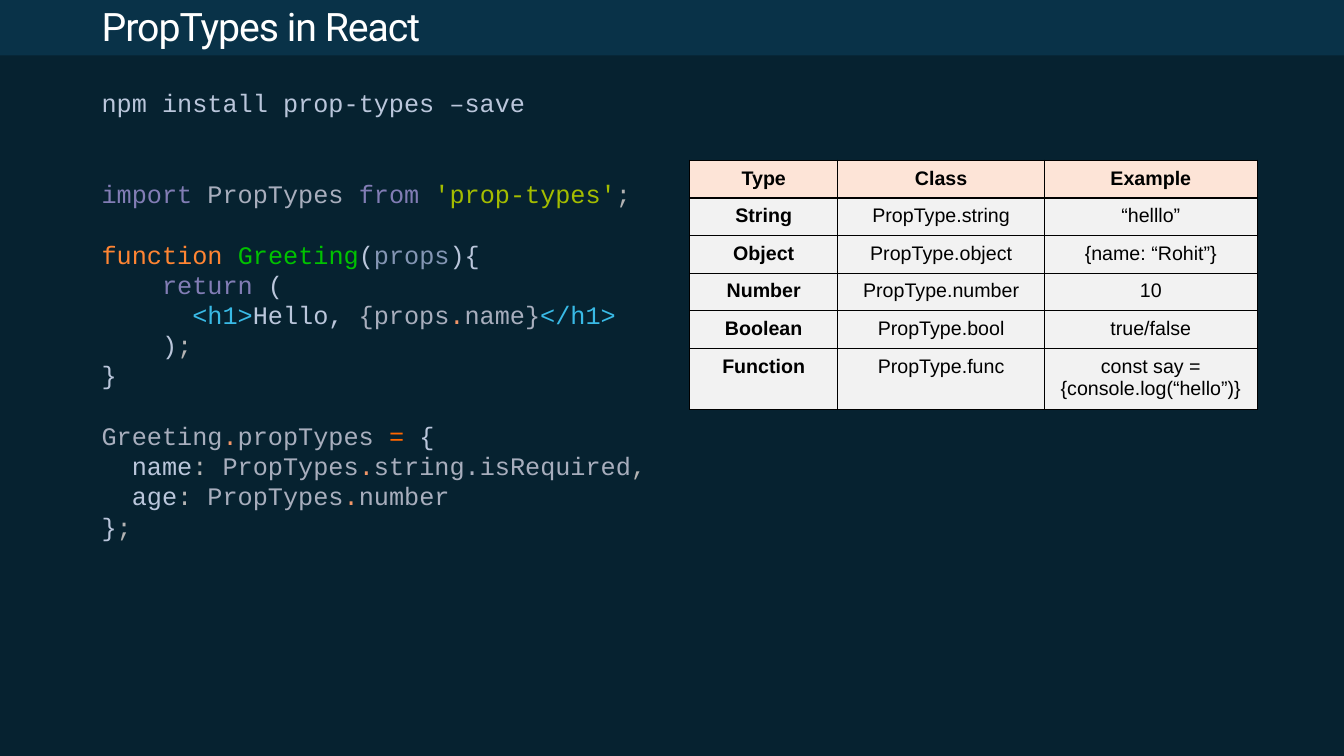
from lxml import etree
from pptx import Presentation
from pptx.dml.color import RGBColor
from pptx.enum import shapes, text
from pptx.oxml import ns
from pptx.util import Inches, Pt

NIGHT = RGBColor(0x06, 0x22, 0x30)
BAR = RGBColor(0x09, 0x32, 0x48)
WHITE = RGBColor(0xFF, 0xFF, 0xFF)
BLACK = RGBColor(0x00, 0x00, 0x00)
PEACH = RGBColor(0xFD, 0xE4, 0xD7)
PALE = RGBColor(0xF2, 0xF2, 0xF2)
PLAIN = RGBColor(0xBA, 0xC6, 0xDB)
MARK = RGBColor(0xB3, 0xB3, 0xB3)
NAME = RGBColor(0xA8, 0xAE, 0xBD)
KEYWORD = RGBColor(0x82, 0x7D, 0xB5)
STRING = RGBColor(0xA4, 0xBD, 0x00)
FUNCTION = RGBColor(0xFF, 0x85, 0x33)
GREEN = RGBColor(0x00, 0xC2, 0x00)
PARAM = RGBColor(0x84, 0x96, 0xB4)
TAG = RGBColor(0x39, 0xBA, 0xE6)
DOT = RGBColor(0xF2, 0x96, 0x68)
EQUALS = RGBColor(0xFF, 0x66, 0x00)

# Content
TITLE = "PropTypes in React"

# Code lines: empty lines above, indent in characters, coloured pieces
CODE = [
    (0, 0, [("npm install prop-types –save", PLAIN)]),
    (2, 0, [("import ", KEYWORD), ("PropTypes ", NAME), ("from ", KEYWORD),
            ("'prop-types'", STRING), (";", MARK)]),
    (1, 0, [("function ", FUNCTION), ("Greeting", GREEN), ("(", PLAIN),
            ("props", PARAM), ("){", PLAIN)]),
    (0, 4, [("return", KEYWORD), (" (", PLAIN)]),
    (0, 6, [("<h1>", TAG), ("Hello, ", PLAIN), ("{props", NAME), (".", DOT),
            ("name}", NAME), ("</h1>", TAG)]),
    (0, 4, [(")", PLAIN), (";", MARK)]),
    (0, 0, [("}", PLAIN)]),
    (1, 0, [("Greeting", NAME), (".", DOT), ("propTypes ", NAME),
            ("=", EQUALS), (" {", PLAIN)]),
    (0, 2, [("name", PLAIN), (": ", MARK), ("PropTypes", NAME), (".", DOT),
            ("string.isRequired", NAME), (",", MARK)]),
    (0, 2, [("age", PLAIN), (": ", MARK), ("PropTypes", NAME), (".", DOT),
            ("number", NAME)]),
    (0, 0, [("}", PLAIN), (";", MARK)]),
]

TYPES = [
    ("Type", "Class", "Example"),
    ("String", "PropType.string", "“helllo”"),
    ("Object", "PropType.object", "{name: “Rohit”}"),
    ("Number", "PropType.number", "10"),
    ("Boolean", "PropType.bool", "true/false"),
    ("Function", "PropType.func", "const say = {console.log(“hello”)}"),
]
COLUMN_WIDTHS = [1.47, 2.05, 2.11]
ROW_HEIGHTS = [0.37] * 5 + [0.61]
LINE_PITCH = 21.6
CHAR_WIDTH = 0.15


def add_text(para, words, *, font, size, color, bold=False, spacing=None):
    span = para.add_run()
    span.text = words
    span.font.name = font
    span.font.size = Pt(size)
    span.font.bold = bold
    span.font.color.rgb = color
    if spacing is not None:
        span.font._element.set("spc", str(round(spacing * 100)))


def add_box(page, left, top, width, height):
    box = page.shapes.add_textbox(
        Inches(left), Inches(top), Inches(width), Inches(height))
    box.text_frame.word_wrap = True
    return box.text_frame


def add_borders(cell):
    props = cell._tc.get_or_add_tcPr()
    for place, side in enumerate(("lnL", "lnR", "lnT", "lnB")):
        line = etree.Element(ns.qn("a:" + side), w=str(Pt(1)))
        fill = etree.SubElement(line, ns.qn("a:solidFill"))
        etree.SubElement(fill, ns.qn("a:srgbClr"), val=str(BLACK))
        props.insert(place, line)


deck = Presentation()
deck.slide_width, deck.slide_height = Inches(13.33), Inches(7.5)
page = deck.slides.add_slide(deck.slide_layouts[6])
page.background.fill.solid()
page.background.fill.fore_color.rgb = NIGHT

# Title bar
bar = page.shapes.add_shape(
    shapes.MSO_SHAPE.RECTANGLE, 0, 0, deck.slide_width, Inches(0.55))
bar.shadow.inherit = False
bar.fill.solid()
bar.fill.fore_color.rgb = BAR
bar.line.fill.background()

heading = add_box(page, 0.91, 0.03, 6.91, 0.53).paragraphs[0]
heading.line_spacing = 0.9
add_text(heading, TITLE, font="Roboto", size=28, color=WHITE, spacing=-0.7)

# Code listing
listing = add_box(page, 0.91, 0.82, 5.93, 5.25)
for number, (gap, indent, pieces) in enumerate(CODE):
    para = listing.add_paragraph() if number else listing.paragraphs[0]
    para.line_spacing = Pt(LINE_PITCH)
    para.space_before = Pt(gap * LINE_PITCH)
    if indent:
        props = para._p.get_or_add_pPr()
        props.set("marL", str(Inches(indent * CHAR_WIDTH)))
        props.set("indent", "0")
    for words, color in pieces:
        add_text(para, words, font="Courier New", size=18, color=color)

# Table of types
frame = page.shapes.add_table(
    len(TYPES), len(COLUMN_WIDTHS), Inches(6.84), Inches(1.59),
    Inches(sum(COLUMN_WIDTHS)), Inches(sum(ROW_HEIGHTS)))
table = frame.table
for column, width in zip(table.columns, COLUMN_WIDTHS):
    column.width = Inches(width)
for r, (row, height) in enumerate(zip(TYPES, ROW_HEIGHTS)):
    table.rows[r].height = Inches(height)
    for c, words in enumerate(row):
        cell = table.cell(r, c)
        cell.margin_left = cell.margin_right = Inches(0.07)
        cell.margin_top = cell.margin_bottom = Inches(0.07)
        cell.fill.solid()
        cell.fill.fore_color.rgb = PALE if r else PEACH
        add_borders(cell)
        para = cell.text_frame.paragraphs[0]
        para.alignment = text.PP_ALIGN.CENTER
        add_text(para, words, font="Arial", size=14, color=BLACK,
                 bold=r == 0 or c == 0)

deck.save("out.pptx")
